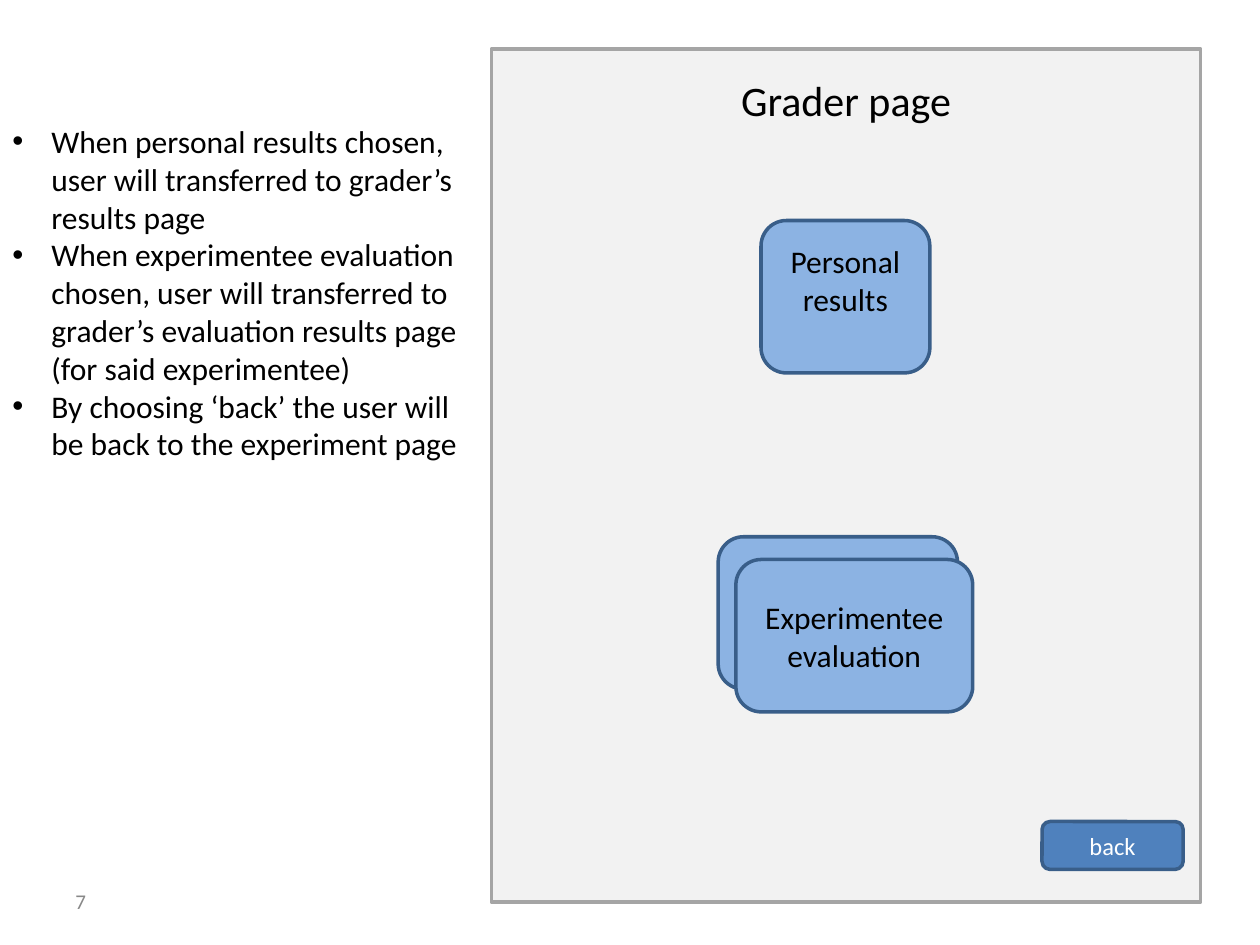
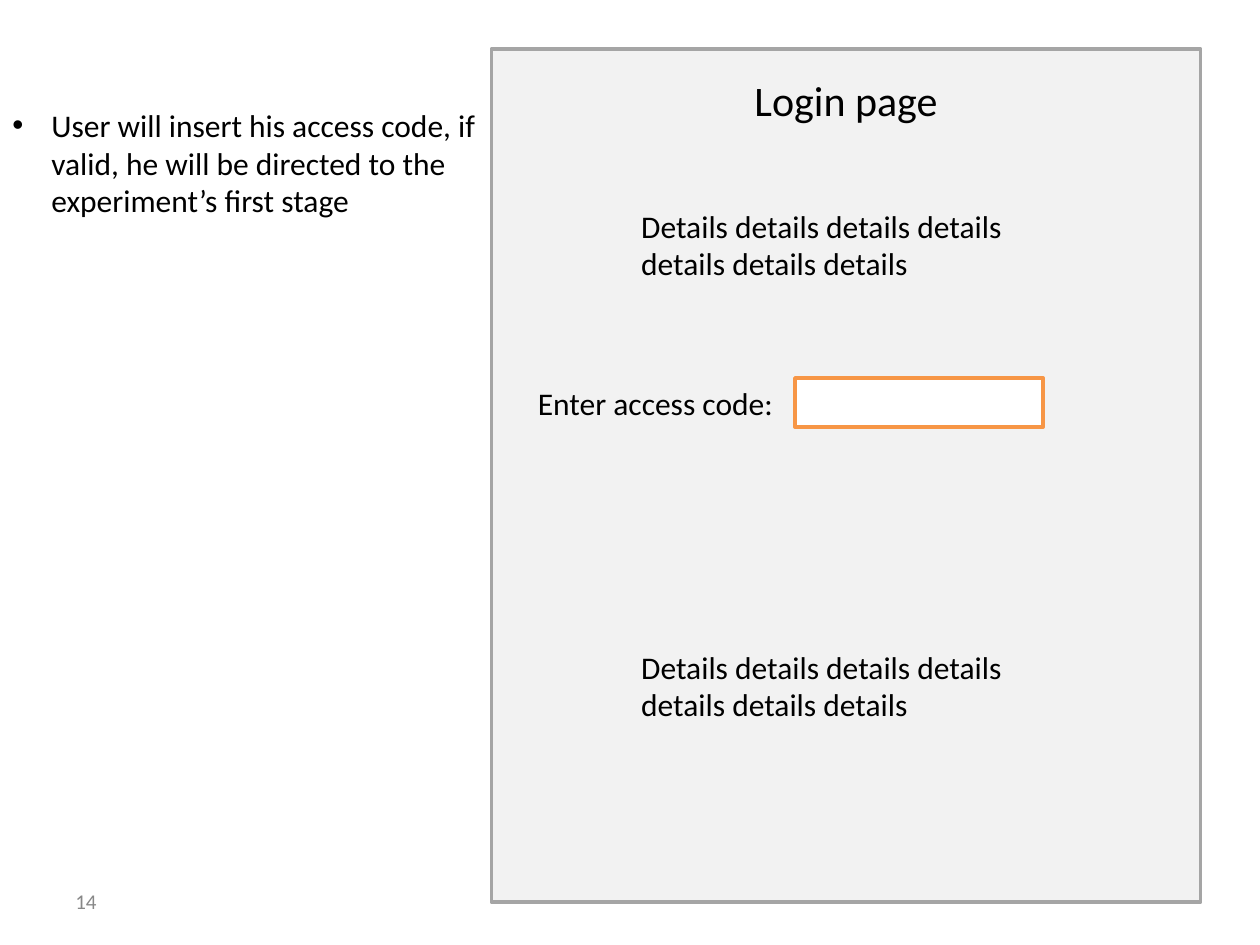
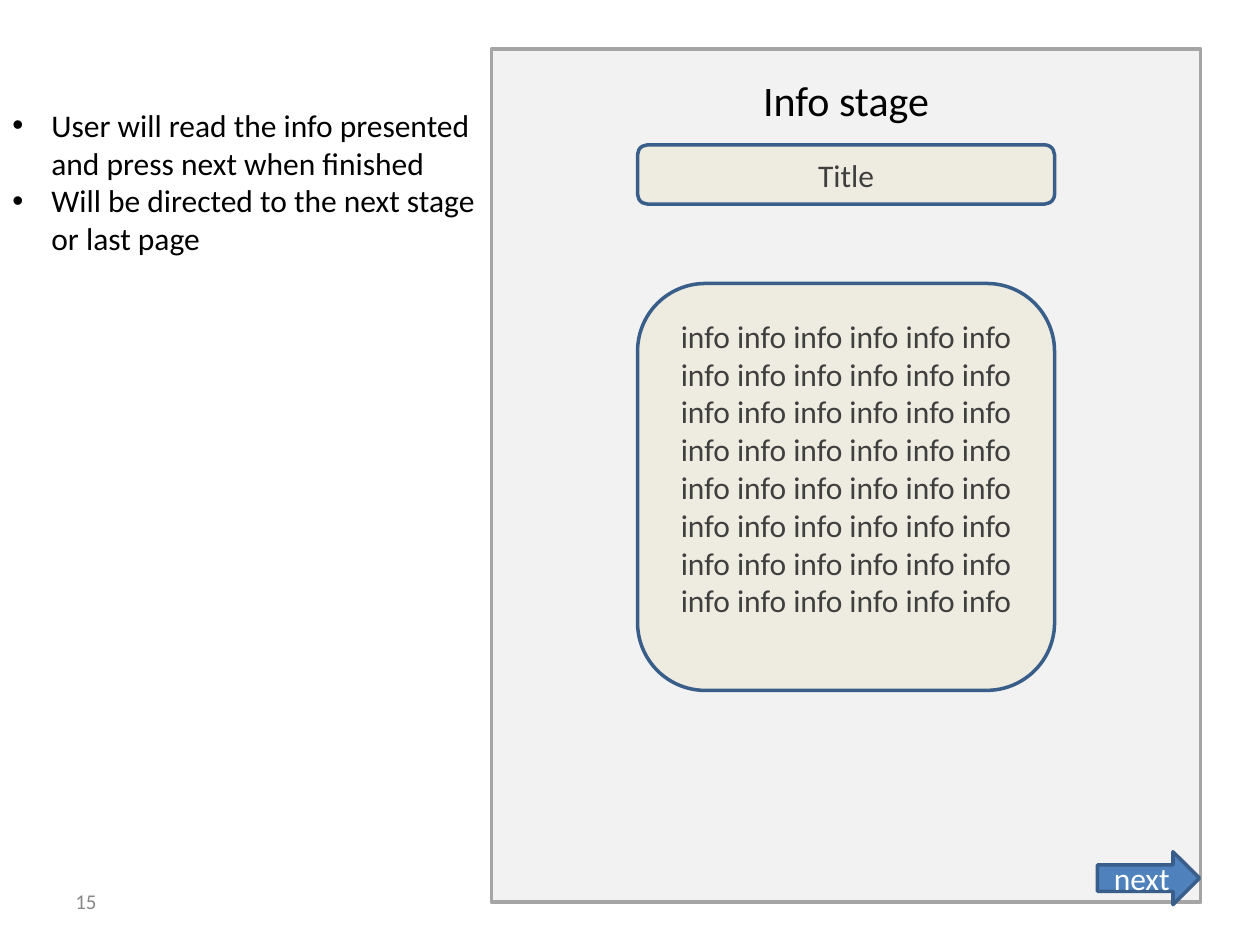
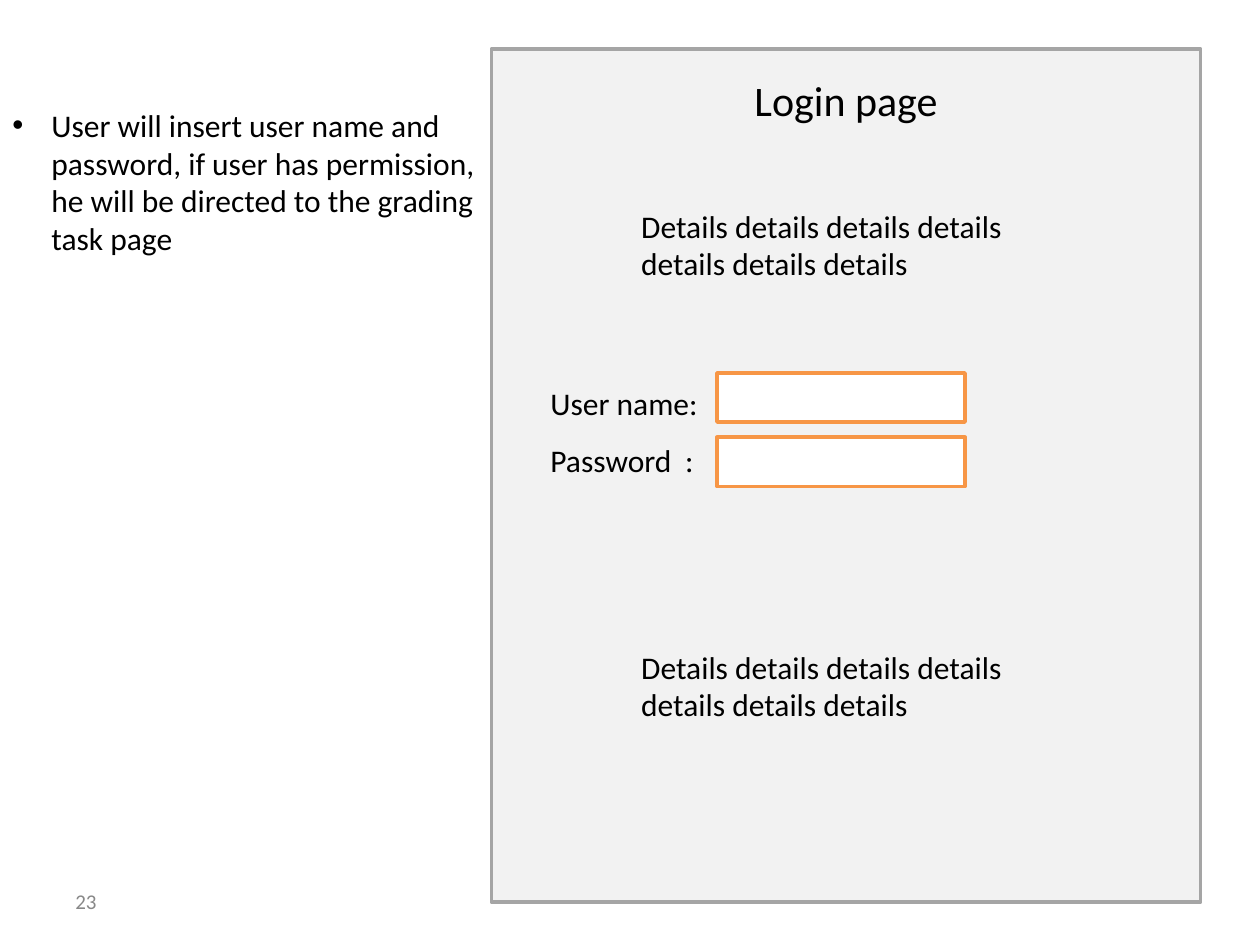
from dataclasses import dataclass
from typing import Optional

import lxml.etree
import pptx
import pptx.dml.color
import pptx.enum.shapes
import pptx.enum.text
import pptx.oxml.ns
import pptx.util

Inches = pptx.util.Inches
RGBColor = pptx.dml.color.RGBColor
Shape = pptx.enum.shapes.MSO_SHAPE
Align = pptx.enum.text.PP_ALIGN
Anchor = pptx.enum.text.MSO_ANCHOR
qn = pptx.oxml.ns.qn

FONT = "Calibri"
BLACK = RGBColor(0x00, 0x00, 0x00)
WHITE = RGBColor(0xFF, 0xFF, 0xFF)
NUMBER_GREY = RGBColor(0x88, 0x88, 0x88)
INFO_GREY = RGBColor(0x3F, 0x3F, 0x3F)
PANEL_FILL = RGBColor(0xF2, 0xF2, 0xF2)
PANEL_LINE = RGBColor(0xA5, 0xA5, 0xA5)
LIGHT_BLUE = RGBColor(0x8C, 0xB3, 0xE3)
BLUE = RGBColor(0x4F, 0x81, 0xBD)
DARK_BLUE = RGBColor(0x39, 0x5E, 0x89)
CREAM = RGBColor(0xEE, 0xEC, 0xE1)
ORANGE = RGBColor(0xF7, 0x96, 0x46)

PANEL_LEFT, PANEL_WIDTH = 3.9, 5.63
BULLET_INDENT = Inches(0.31)
DETAILS = "Details details details details details details details"


@dataclass(frozen=True)
class Box:
    left: float
    top: float
    width: float
    height: float

    def lengths(self) -> list[int]:
        return [Inches(v) for v in (self.left, self.top, self.width, self.height)]


@dataclass(frozen=True)
class TextStyle:
    size: int = 18
    color: RGBColor = BLACK
    align: Align = Align.LEFT
    anchor: Anchor = Anchor.TOP


@dataclass(frozen=True)
class ShapeStyle:
    kind: Shape
    fill: RGBColor
    line: RGBColor
    text: Optional[TextStyle] = None


@dataclass(frozen=True)
class Page:
    title: str
    number: int
    behaviour_top: float
    behaviour_height: float
    behaviour: tuple[str, ...]


def centred(size: int, color: RGBColor) -> TextStyle:
    return TextStyle(size, color, Align.CENTER, Anchor.MIDDLE)


BODY = TextStyle()
CAPTION = TextStyle(align=Align.CENTER)
HEADING = TextStyle(size=24, align=Align.CENTER)
PAGE_NUMBER = TextStyle(12, NUMBER_GREY, anchor=Anchor.MIDDLE)

PANEL = ShapeStyle(Shape.RECTANGLE, PANEL_FILL, PANEL_LINE)
INPUT_FIELD = ShapeStyle(Shape.RECTANGLE, WHITE, ORANGE)
TILE = ShapeStyle(Shape.ROUNDED_RECTANGLE, LIGHT_BLUE, DARK_BLUE, centred(18, BLACK))
INFO_BOX = ShapeStyle(Shape.ROUNDED_RECTANGLE, CREAM, DARK_BLUE, centred(18, INFO_GREY))
BACK_BUTTON = ShapeStyle(Shape.ROUNDED_RECTANGLE, BLUE, DARK_BLUE, centred(14, WHITE))
NEXT_ARROW = ShapeStyle(Shape.RIGHT_ARROW, BLUE, DARK_BLUE, centred(18, WHITE))


def write(frame, text: str, style: TextStyle) -> None:
    """Fill a text frame, one paragraph for each line of text."""
    frame.text = text
    frame.word_wrap = True
    frame.vertical_anchor = style.anchor
    for paragraph in frame.paragraphs:
        paragraph.alignment = style.align
        for run in paragraph.runs:
            run.font.name = FONT
            run.font.size = pptx.util.Pt(style.size)
            run.font.color.rgb = style.color


def add_text(slide, box: Box, text: str, style: TextStyle = BODY):
    frame = slide.shapes.add_textbox(*box.lengths()).text_frame
    write(frame, text, style)
    return frame


def add_box(slide, box: Box, style: ShapeStyle, text: str = ""):
    shape = slide.shapes.add_shape(style.kind, *box.lengths())
    shape.shadow.inherit = False
    shape.fill.solid()
    shape.fill.fore_color.rgb = style.fill
    shape.line.color.rgb = style.line
    shape.line.width = pptx.util.Pt(2)
    if text:
        write(shape.text_frame, text, style.text)
    return shape


def add_bullet(paragraph) -> None:
    properties = paragraph._p.get_or_add_pPr()
    properties.set("marL", str(BULLET_INDENT))
    properties.set("indent", str(-BULLET_INDENT))
    lxml.etree.SubElement(properties, qn("a:buFont"), typeface="Arial")
    lxml.etree.SubElement(properties, qn("a:buChar"), char="•")


def add_tab_stop(paragraph, position: float) -> None:
    properties = paragraph._p.get_or_add_pPr()
    tabs = lxml.etree.SubElement(properties, qn("a:tabLst"))
    lxml.etree.SubElement(tabs, qn("a:tab"), pos=str(Inches(position)), algn="l")


def add_page(deck, page: Page):
    """Add a slide with the mock-up panel, its heading, the behaviour list and the number."""
    slide = deck.slides.add_slide(deck.slide_layouts[6])
    add_box(slide, Box(PANEL_LEFT, 0.39, PANEL_WIDTH, 6.77), PANEL)
    add_text(slide, Box(PANEL_LEFT, 0.54, PANEL_WIDTH, 0.5), page.title, HEADING)
    behaviour_box = Box(0, page.behaviour_top, PANEL_LEFT, page.behaviour_height)
    behaviour = add_text(slide, behaviour_box, "\n".join(page.behaviour))
    for paragraph in behaviour.paragraphs:
        add_bullet(paragraph)
    add_text(slide, Box(0.5, 6.95, 2.33, 0.4), str(page.number), PAGE_NUMBER)
    return slide


def add_details(slide) -> None:
    for top in (1.59, 5.09):
        add_text(slide, Box(4.99, top, 3.45, 0.71), DETAILS)


def add_input_field(slide, left: float, top: float) -> None:
    add_box(slide, Box(left, top, 1.97, 0.39), INPUT_FIELD)


def build_grader_page(deck) -> None:
    slide = add_page(deck, Page("Grader page", 7, 0.92, 3.43, (
        "When personal results chosen, user will transferred to grader’s results page",
        "When experimentee evaluation chosen, user will transferred to grader’s "
        "evaluation results page (for said experimentee)",
        "By choosing ‘back’ the user will be back to the experiment page",
    )))
    add_box(slide, Box(6.04, 1.75, 1.34, 1.21), TILE)
    add_text(slide, Box(6.16, 1.87, 1.1, 0.71), "Personal results", CAPTION)
    add_box(slide, Box(5.7, 4.26, 1.9, 1.21), TILE)
    add_box(slide, Box(5.84, 4.44, 1.88, 1.21), TILE, "Experimentee\nevaluation")
    add_box(slide, Box(8.27, 6.52, 1.12, 0.38), BACK_BUTTON, "back")


def build_access_code_page(deck) -> None:
    slide = add_page(deck, Page("Login page", 14, 0.79, 1.01, (
        "User will insert his access code, if valid, he will be directed to the "
        "experiment’s first stage",
    )))
    add_text(slide, Box(4.17, 3, 2.19, 0.71), "Enter access code:")
    add_input_field(slide, 6.31, 3)
    add_details(slide)


def build_info_stage(deck) -> None:
    slide = add_page(deck, Page("Info stage", 15, 0.79, 1.31, (
        "User will read the info presented and press next when finished",
        "Will be directed to the next stage or last page",
    )))
    add_box(slide, Box(5.06, 1.15, 3.31, 0.47), INFO_BOX, "Title")
    info = add_box(slide, Box(5.06, 2.25, 3.31, 3.23), INFO_BOX, " ".join(["info"] * 48))
    info.text_frame.margin_bottom = Inches(0.35)
    add_box(slide, Box(8.71, 6.76, 0.81, 0.42), NEXT_ARROW, "next")


def build_password_page(deck) -> None:
    slide = add_page(deck, Page("Login page", 23, 0.79, 1.31, (
        "User will insert user name and password, if user has permission, he will "
        "be directed to the grading task page",
    )))
    labels = add_text(slide, Box(4.27, 3, 1.5, 0.81), "User name:\nPassword\t:")
    password = labels.paragraphs[1]
    password.line_spacing = 1.5
    add_tab_stop(password, 1.07)
    for top in (2.96, 3.47):
        add_input_field(slide, 5.69, top)
    add_details(slide)


def main() -> None:
    deck = pptx.Presentation()
    deck.slide_width = Inches(10)
    deck.slide_height = Inches(7.5)
    build_grader_page(deck)
    build_access_code_page(deck)
    build_info_stage(deck)
    build_password_page(deck)
    deck.save("out.pptx")


if __name__ == "__main__":
    main()
